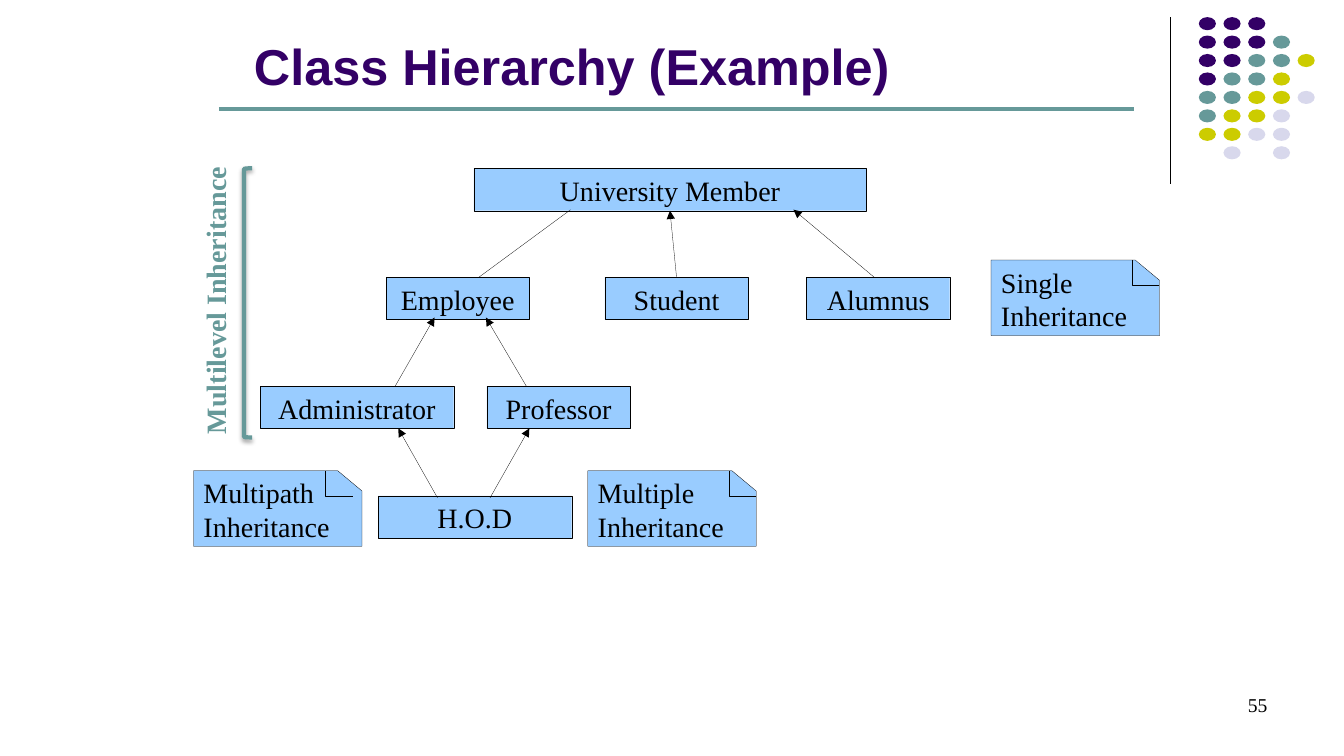
"""Build the class hierarchy slide."""
from lxml.etree import SubElement
from pptx import Presentation
from pptx.dml.color import RGBColor
from pptx.enum.shapes import MSO_CONNECTOR as Connector, MSO_SHAPE as Shape
from pptx.enum.text import MSO_ANCHOR as Anchor, PP_ALIGN as Align
from pptx.oxml.ns import qn
from pptx.util import Inches, Pt

COLORS = {"purple": "330066", "teal": "669999", "olive": "CCCC00",
          "pale": "D8D8EC", "box": "99CCFF", "black": "000000"}
SERIF, SANS = "Times New Roman", "Arial"
HAIRLINE = 0.2

DOT_KEYS = {"P": "purple", "T": "teal", "O": "olive", "L": "pale"}
DOT_ROWS = ["PPP", "PPPT", "PPTTO", "PTTO", "TTOOL", "TOOL", "OOLL", " L L"]
DOT_ORIGIN, DOT_PITCH, DOT_SIZE = (11.89, 0.17), (0.245, 0.183), (0.17, 0.13)

BOX_HEIGHT = 0.42
CLASSES = [
    ("University Member", 4.7, 1.67, 3.89),
    ("Employee", 3.83, 2.75, 1.42),
    ("Student", 6, 2.75, 1.42),
    ("Alumnus", 8, 2.75, 1.42),
    ("Administrator", 2.58, 3.83, 1.92),
    ("Professor", 4.83, 3.83, 1.42),
    ("H.O.D", 3.75, 4.92, 1.92),
]
LINKS = [
    ((4.75, 2.75), (5.66, 2.08), False),
    ((8.67, 2.75), (7.87, 2.08), True),
    ((5.22, 3.83), (4.82, 3.15), True),
    ((3.92, 3.83), (4.31, 3.15), True),
    ((4.86, 4.94), (5.25, 4.25), True),
    ((4.34, 4.94), (3.95, 4.25), True),
]
NOTE_WIDTH, NOTE_HEIGHT = 1.67, 0.75
NOTES = [
    (["Single Inheritance"], 9.83, 2.58, 1.4),
    (["Multiple", "Inheritance"], 5.83, 4.67, 1.4),
    (["Multipath", "Inheritance"], 1.92, 4.67, 1.31),
]

deck = Presentation()
deck.slide_width, deck.slide_height = Inches(13.33), Inches(7.5)
page = deck.slides.add_slide(deck.slide_layouts[6])


def color(name):
    """Return the named colour."""
    return RGBColor.from_string(COLORS[name])


def paint(shape, fill=None, line=None, width=HAIRLINE):
    """Set fill and outline, and drop the shadow."""
    shape.shadow.inherit = False
    if fill:
        shape.fill.solid()
        shape.fill.fore_color.rgb = color(fill)
    else:
        shape.fill.background()
    if line:
        shape.line.color.rgb = color(line)
        shape.line.width = Pt(width)
    else:
        shape.line.fill.background()


def write(shape, lines, size=20, font=SERIF, ink="black", bold=False,
          align=Align.LEFT, anchor=Anchor.TOP, wrap=True):
    """Write one paragraph per line into a shape."""
    frame = shape.text_frame
    frame.word_wrap, frame.vertical_anchor = wrap, anchor
    for index, line in enumerate(lines):
        para = frame.add_paragraph() if index else frame.paragraphs[0]
        para.alignment = align
        span = para.add_run()
        span.text = line
        span.font.size, span.font.name, span.font.bold = Pt(size), font, bold
        span.font.color.rgb = color(ink)


def add_box(x, y, width, height):
    """Add a text box."""
    return page.shapes.add_textbox(*map(Inches, (x, y, width, height)))


def add_line(start, end, ink="black", width=HAIRLINE, arrow=False):
    """Add a straight line, with an arrowhead at its end if wanted."""
    line = page.shapes.add_connector(Connector.STRAIGHT, *map(Inches, start + end))
    line.line.color.rgb = color(ink)
    line.line.width = Pt(width)
    if arrow:
        SubElement(line.line._get_or_add_ln(), qn("a:tailEnd"), type="triangle")
    SubElement(line._element.spPr, qn("a:effectLst"))
    return line


def add_outline(points, fill=None, closed=True):
    """Add a freeform through the given points."""
    corners = [tuple(map(Inches, point)) for point in points]
    builder = page.shapes.build_freeform(*corners[0])
    builder.add_line_segments(corners[1:], close=closed)
    outline = builder.convert_to_shape()
    paint(outline, fill, "black")
    return outline


def add_note(lines, x, y, fold_left):
    """Add a note with a folded corner."""
    right, bottom = x + NOTE_WIDTH, y + NOTE_HEIGHT
    note = add_outline([(x + 1.43, y), (right, y + 0.2), (right, bottom),
                        (x, bottom), (x, y)], "box")
    write(note, lines)
    fold = x + fold_left
    add_outline([(fold + 0.27, y + 0.25), (fold, y + 0.25), (fold, y)], closed=False)


add_line((11.61, 0.17), (11.61, 1.83), width=0.75)
for row, keys in enumerate(DOT_ROWS):
    for column, key in enumerate(keys):
        if key in DOT_KEYS:
            x = DOT_ORIGIN[0] + column * DOT_PITCH[0]
            y = DOT_ORIGIN[1] + row * DOT_PITCH[1]
            dot = page.shapes.add_shape(Shape.OVAL, *map(Inches, (x, y) + DOT_SIZE))
            paint(dot, DOT_KEYS[key])

write(add_box(2.42, 0.25, 8.5, 0.75), ["Class Hierarchy (Example)"], size=36,
      font=SANS, ink="purple", bold=True, anchor=Anchor.BOTTOM)
add_line((2.17, 1.08), (11.25, 1.08), "teal", 3)

boxes = {}
for name, x, y, width in CLASSES:
    boxes[name] = page.shapes.add_shape(
        Shape.RECTANGLE, *map(Inches, (x, y, width, BOX_HEIGHT)))
    paint(boxes[name], "box", "black")
    write(boxes[name], [name], align=Align.CENTER)

for start, end, arrow in LINKS:
    add_line(start, end, arrow=arrow)
student_link = add_line((6.71, 2.75), (6.65, 2.09), arrow=True)
student_link.begin_connect(boxes["Student"], 0)
student_link.end_connect(boxes["University Member"], 2)

for note in NOTES:
    add_note(*note)

bracket = page.shapes.add_shape(
    Shape.LEFT_BRACKET, *map(Inches, (2.42, 1.67, 0.08, 2.67)))
paint(bracket, line="teal", width=3)
effects = bracket._element.spPr.find(qn("a:effectLst"))
shadow = SubElement(effects, qn("a:outerShdw"), blurRad=str(Pt(3.1)),
                    dist=str(Pt(1.8)), dir="5400000", rotWithShape="0")
shade = SubElement(shadow, qn("a:srgbClr"), val=COLORS["black"])
SubElement(shade, qn("a:alpha"), val="35000")

levels = add_box(0.7, 2.75, 2.87, 0.44)
levels.rotation = 270
write(levels, ["Multilevel Inheritance"], ink="teal", bold=True, wrap=False)

write(add_box(9.56, 6.83, 3.11, 0.5), ["55"], size=14, align=Align.RIGHT)

deck.save("out.pptx")
